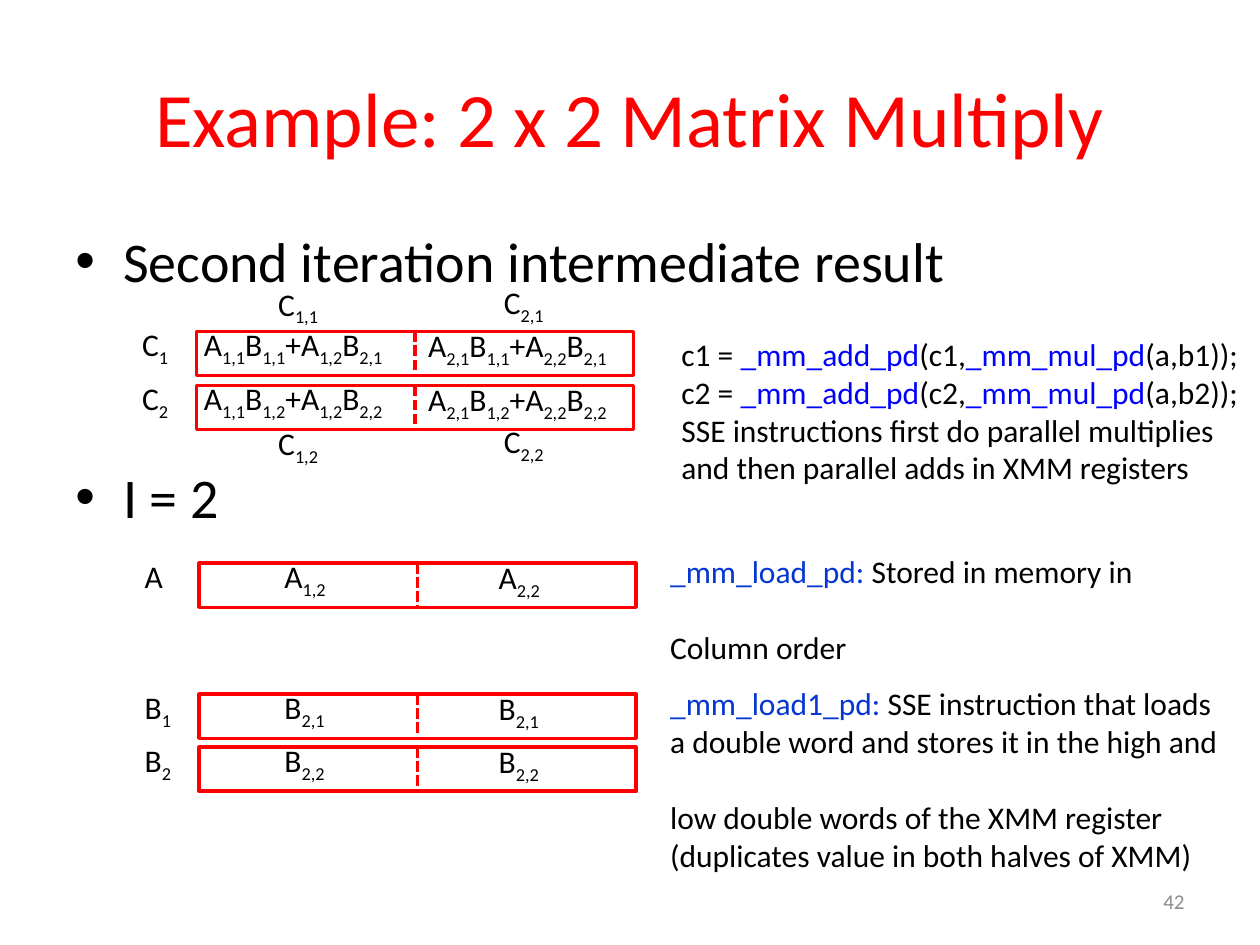
"""Build the slide on the second iteration of a 2 x 2 matrix multiply."""
import pptx
import pptx.dml.color
import pptx.enum.dml
import pptx.enum.shapes
import pptx.enum.text
import pptx.oxml
import pptx.oxml.ns
import pptx.util

Inches = pptx.util.Inches
Pt = pptx.util.Pt
ALIGN = pptx.enum.text.PP_ALIGN
ANCHOR = pptx.enum.text.MSO_ANCHOR

COLORS = {"red": "FF0000", "black": "000000", "call": "0000FF", "load": "0536D2", "number": "8C8C8C"}
FONT = "Calibri"
REGISTER_WIDTH, REGISTER_HEIGHT = 3.47, 0.35
LINE_GAP = 22

TITLE = "Example: 2 x 2 Matrix Multiply"
BULLETS = [("Second iteration intermediate result", 6.4), ("I = 2", 96.4)]

# Text between bars alternates between normal and subscript.
REGISTERS = [
    (1.56, 2.63, "C|1", 1.52, "A|1,1|B|1,1|+A|1,2|B|2,1", 3.3, "A|2,1|B|1,1|+A|2,2|B|2,1"),
    (1.56, 3.06, "C|2", 1.52, "A|1,1|B|1,2|+A|1,2|B|2,2", 3.3, "A|2,1|B|1,2|+A|2,2|B|2,2"),
    (1.58, 4.47, "A", 2.16, "A|1,2", 3.86, "A|2,2"),
    (1.58, 5.51, "B|1", 2.16, "B|2,1", 3.86, "B|2,1"),
    (1.58, 5.93, "B|2", 2.16, "B|2,2", 3.86, "B|2,2"),
]
RESULT_LABELS = [
    (2.11, 2.21, "C|1,1"), (2.11, 3.32, "C|1,2"),
    (3.9, 2.2, "C|2,1"), (3.9, 3.3, "C|2,2"),
]


def add_call(target, factor):
    """Return the coloured pieces of one multiply-and-add line."""
    return [(f"{target} = ", "black"), ("_mm_add_pd", "call"), (f"({target},", "black"),
            ("_mm_mul_pd", "call"), (f"(a,{factor}));", "black")]


NOTES = [
    ((5.31, 2.61, 4.66, 1.31), [
        (add_call("c1", "b1"), 0),
        (add_call("c2", "b2"), 0),
        ([("SSE instructions first do parallel multiplies", "black")], 0),
        ([("and then parallel adds in XMM registers", "black")], 0),
    ]),
    ((5.22, 4.33, 3.91, 0.71), [
        ([("_mm_load_pd: ", "load"), ("Stored in memory in", "black")], 0),
        ([("Column order", "black")], LINE_GAP),
    ]),
    ((5.22, 5.38, 4.59, 1.31), [
        ([("_mm_load1_pd: ", "load"), ("SSE instruction that loads", "black")], 0),
        ([("a double word and stores it in the high and", "black")], 0),
        ([("low double words of the XMM register", "black")], LINE_GAP),
        ([("(duplicates value in both halves of XMM)", "black")], 0),
    ]),
]


def rgb(name):
    """Return a named colour."""
    return pptx.dml.color.RGBColor.from_string(COLORS[name])


def add_text(parent, place, lines, size=18, align=ALIGN.LEFT, anchor=ANCHOR.TOP):
    """Add a text box of (pieces, space before) lines and return its frame."""
    frame = parent.add_textbox(*map(Inches, place)).text_frame
    frame.word_wrap = True
    frame.vertical_anchor = anchor
    for index, (pieces, space) in enumerate(lines):
        para = frame.add_paragraph() if index else frame.paragraphs[0]
        para.alignment = align
        para.space_before = Pt(space)
        for text, color in pieces:
            span = para.add_run()
            span.text = text
            for key, value in {"name": FONT, "size": Pt(size)}.items():
                setattr(span.font, key, value)
            span.font.color.rgb = rgb(color)
    return frame


def add_entry(parent, left, top, markup, width=0.56):
    """Add a matrix entry whose odd pieces are subscripts."""
    pieces = [(text, "black") for text in markup.split("|")]
    frame = add_text(parent, (left, top, width, 0.4), [(pieces, 0)])
    for span in frame.paragraphs[0].runs[1::2]:
        span.font._element.set("baseline", "-25000")


def add_register(page, left, top):
    """Add a register box split in two by a dashed line."""
    group = page.shapes.add_group_shape().shapes
    box = group.add_shape(pptx.enum.shapes.MSO_SHAPE.RECTANGLE,
                          *map(Inches, (left, top, REGISTER_WIDTH, REGISTER_HEIGHT)))
    box.shadow.inherit = False
    box.fill.background()
    middle = left + REGISTER_WIDTH / 2
    divider = group.add_connector(pptx.enum.shapes.MSO_CONNECTOR.STRAIGHT,
                                  *map(Inches, (middle, top, middle, top + REGISTER_HEIGHT)))
    divider.begin_connect(box, 0)
    divider.end_connect(box, 2)
    divider._element.spPr.append(pptx.oxml.parse_xml(
        f'<a:effectLst {pptx.oxml.ns.nsdecls("a")}/>'))
    for part in (box, divider):
        part.line.color.rgb = rgb("red")
        part.line.width = Pt(2)
    divider.line.dash_style = pptx.enum.dml.MSO_LINE.SQUARE_DOT


def add_bullets(page):
    """Add the two main bullets."""
    frame = add_text(page.shapes, (0.5, 1.75, 9, 2.98),
                     [([(text, "black")], space) for text, space in BULLETS], 32)
    for para in frame.paragraphs:
        props = para._p.get_or_add_pPr()
        props.set("marL", str(Inches(0.38)))
        props.set("indent", str(Inches(-0.38)))
        for tag in ('buFont {} typeface="Arial"', 'buChar {} char="•"'):
            props.append(pptx.oxml.parse_xml(f'<a:{tag.format(pptx.oxml.ns.nsdecls("a"))}/>'))


def main():
    """Assemble and save the deck."""
    deck = pptx.Presentation()
    deck.slide_width, deck.slide_height = Inches(10), Inches(7.5)
    page = deck.slides.add_slide(deck.slide_layouts[6])
    add_text(page.shapes, (0.5, 0.3, 9, 1.25), [([(TITLE, "red")], 0)], 44, ALIGN.CENTER, ANCHOR.MIDDLE)
    add_bullets(page)
    for left, top, name, low_left, low, high_left, high in REGISTERS:
        add_register(page, left, top)
        add_entry(page.shapes, left - 0.53, top - 0.1, name, 0.43)
        width = 1.9 if "+" in low else 0.56
        add_entry(page.shapes, low_left, top - 0.1, low, width)
        add_entry(page.shapes, high_left, top - 0.09, high, width)
    labels = page.shapes.add_group_shape().shapes
    for left, top, markup in RESULT_LABELS:
        add_entry(labels, left, top, markup)
    for place, lines in NOTES:
        add_text(page.shapes, place, lines)
    add_text(page.shapes, (7.17, 6.95, 2.33, 0.4), [([("42", "number")], 0)], 12, ALIGN.RIGHT, ANCHOR.MIDDLE)
    deck.save("out.pptx")


if __name__ == "__main__":
    main()
